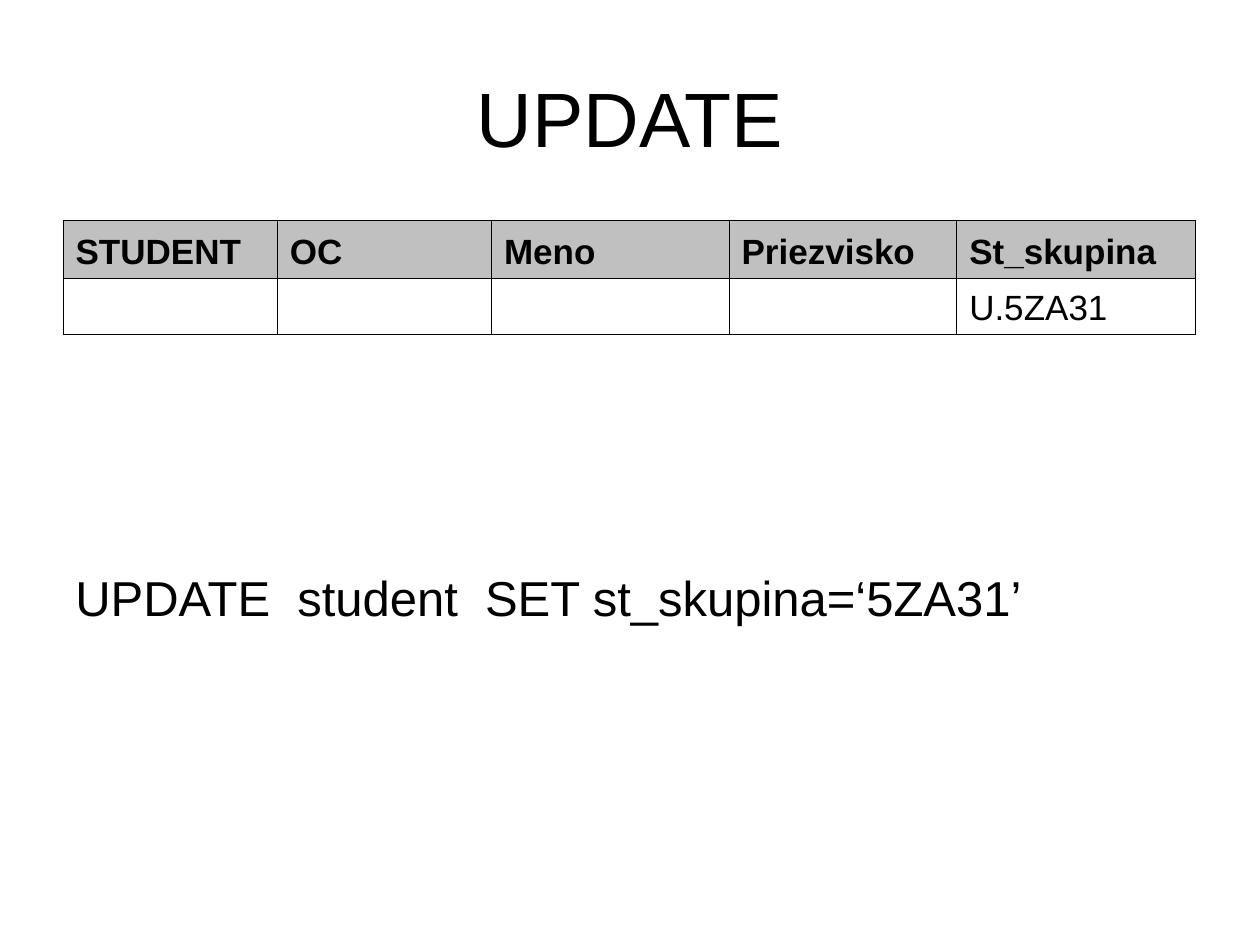
import pptx
import pptx.util
import pptx.dml.color
import pptx.enum.text
import lxml.etree
from dataclasses import dataclass

Pt = pptx.util.Pt
Color = pptx.dml.color.RGBColor.from_string
Align = pptx.enum.text.PP_ALIGN
Anchor = pptx.enum.text.MSO_ANCHOR
SPACE = "http://schemas.openxmlformats.org/drawingml/2006/main"


@dataclass(frozen=True)
class Theme:
    face: str = "Arial"
    ink: str = "000000"
    head: str = "C0C0C0"
    title: int = 44
    body: int = 28
    cell: int = 20
    thin: float = 0.45
    thick: float = 0.96


THEME = Theme()


def apply(target, values):
    for name, value in values.items():
        setattr(target, name, value)


def write(frame, text, size, bold=False, align=Align.LEFT):
    line = frame.paragraphs[0]
    line.alignment = align
    run = line.add_run()
    run.text = text
    apply(run.font, {"name": THEME.face, "size": Pt(size), "bold": bold})
    run.font.color.rgb = Color(THEME.ink)


def add_text(slide, box, text, size, align, anchor, top=3.6):
    frame = slide.shapes.add_textbox(*map(Pt, box)).text_frame
    apply(frame, {"word_wrap": True, "vertical_anchor": anchor, "margin_top": Pt(top)})
    write(frame, text, size, align=align)


def add_title(slide, box, text):
    add_text(slide, box, text, THEME.title, Align.CENTER, Anchor.MIDDLE)


def add_code(slide, box, text):
    add_text(slide, box, text, THEME.body, Align.LEFT, Anchor.TOP, top=88)


def add_edges(cell, sides):
    props = cell._tc.get_or_add_tcPr()
    for spot, (side, width) in enumerate(sides.items()):
        line = lxml.etree.Element(f"{{{SPACE}}}ln{side}", w=str(Pt(width)))
        fill = lxml.etree.SubElement(line, f"{{{SPACE}}}solidFill")
        lxml.etree.SubElement(fill, f"{{{SPACE}}}srgbClr", val=THEME.ink)
        props.insert(spot, line)


def add_grid(slide, box, widths, heights, rows):
    table = slide.shapes.add_table(len(rows), len(widths), *map(Pt, box)).table
    apply(table, {"first_row": False, "horz_banding": False})
    for col, width in zip(table.columns, widths):
        col.width = Pt(width)
    for i, (texts, height) in enumerate(zip(rows, heights)):
        table.rows[i].height = Pt(height)
        head = i == 0
        top, bottom = (THEME.thin, THEME.thick) if head else (THEME.thick, THEME.thin)
        for j, text in enumerate(texts):
            cell = table.cell(i, j)
            cell.vertical_anchor = Anchor.BOTTOM
            if head:
                cell.fill.solid()
                cell.fill.fore_color.rgb = Color(THEME.head)
            else:
                cell.fill.background()
            add_edges(cell, {"L": THEME.thin, "R": THEME.thin, "T": top, "B": bottom})
            if text:
                write(cell.text_frame, text, THEME.cell, bold=head)


def main():
    deck = pptx.Presentation()
    apply(deck, {"slide_width": Pt(720), "slide_height": Pt(540)})
    slide = deck.slides.add_slide(deck.slide_layouts[6])
    add_title(slide, (36, 21.6, 648, 90), "UPDATE")
    rows = [
        ["STUDENT", "OC", "Meno", "Priezvisko", "St_skupina"],
        ["", "", "", "", "U.5ZA31"],
    ]
    widths = [122.4, 122.4, 135.8, 130.1, 136.6]
    add_grid(slide, (36, 126, 647.3, 64.8), widths, [33.1, 31.7], rows)
    add_code(slide, (36, 236.2, 648, 272.2), "UPDATE  student  SET st_skupina=‘5ZA31’")
    deck.save("out.pptx")


if __name__ == "__main__":
    main()
